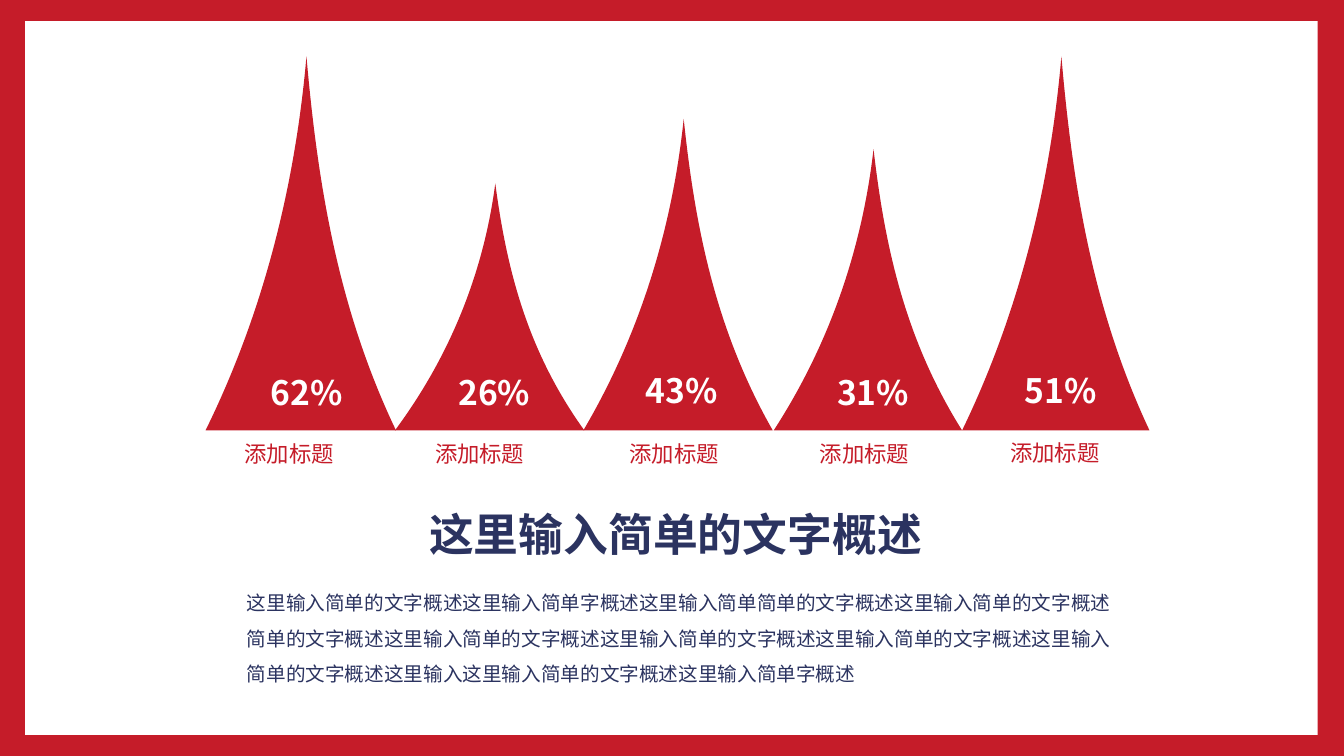
from dataclasses import dataclass

from lxml import etree
from pptx import Presentation
from pptx import util as u
from pptx.dml.color import RGBColor
from pptx.enum import shapes, text
from pptx.oxml.ns import qn

PX = 9144  # 100 px to the inch


@dataclass(frozen=True)
class Theme:
    red: str = "C51C29"
    navy: str = "2B3360"
    white: str = "FFFFFF"
    font: str = "Noto Sans CJK SC"
    heading_size: int = 32
    percent_size: int = 24
    label_size: int = 16
    body_size: int = 14


@dataclass(frozen=True)
class Spike:
    left: int
    width: int
    height: int
    percent: str
    percent_at: tuple
    label_at: tuple


SPIKES = [
    Spike(204, 189, 371, "62%", (259, 364), (233, 432)),
    Spike(392, 188, 245, "26%", (445, 364), (422, 432)),
    Spike(579, 188, 309, "43%", (631, 362), (615, 432)),
    Spike(768, 187, 279, "31%", (821, 364), (804, 432)),
    Spike(955, 186, 371, "51%", (1007, 362), (993, 431)),
]
BASELINE = 427
# Bezier sides after the left foot, as fractions of a spike's width and height
SIDES = [
    [(0.3, 0.31), (0.47, 0.65), (0.53, 1)],
    [(0.59, 0.65), (0.7, 0.32), (1, 0)],
]

LABEL = "添加标题"
HEADING = "这里输入简单的文字概述"
BODY = (
    "这里输入简单的文字概述这里输入简单字概述这里输入简单简单的文字概述这里输入简单的文字概述"
    "简单的文字概述这里输入简单的文字概述这里输入简单的文字概述这里输入简单的文字概述这里输入"
    "简单的文字概述这里输入这里输入简单的文字概述这里输入简单字概述"
)


def write(shape, words, *, size, color, font, bold=False, spacing=1.0):
    frame = shape.text_frame
    frame.word_wrap = True
    frame.auto_size = text.MSO_AUTO_SIZE.SHAPE_TO_FIT_TEXT
    frame.vertical_anchor = text.MSO_ANCHOR.TOP
    paragraph = frame.paragraphs[0]
    paragraph.alignment = text.PP_ALIGN.LEFT
    paragraph.line_spacing = spacing
    paragraph.space_before = u.Pt(0)
    run = paragraph.add_run()
    run.text = words
    run.font.size = u.Pt(size)
    run.font.bold = bold
    run.font.color.rgb = RGBColor.from_string(color)
    run.font.name = font
    east_asian = etree.SubElement(run.font._element, qn("a:ea"))
    east_asian.set("typeface", font)


class SlideBuilder:
    def __init__(self, slide, theme):
        self.slide = slide
        self.theme = theme

    def paint(self, shape, color):
        shape.shadow.inherit = False
        shape.fill.solid()
        shape.fill.fore_color.rgb = RGBColor.from_string(color)
        shape.line.fill.background()

    def panel(self, box, color):
        panel = self.slide.shapes.add_shape(
            shapes.MSO_SHAPE.RECTANGLE, *(v * PX for v in box))
        self.paint(panel, color)

    def spike(self, spike):
        """Draw a triangle, then bend its two straight sides into curves."""
        width, height = spike.width * PX, spike.height * PX
        left, base = spike.left * PX, BASELINE * PX
        corners = [(left + x * width, base - y * height) for x, y in (s[-1] for s in SIDES)]
        outline = self.slide.shapes.build_freeform(left, base)
        outline.add_line_segments(corners, close=True)
        shape = outline.convert_to_shape()
        lines = list(shape._element.iter(qn("a:lnTo")))
        for line, side in zip(lines, SIDES):
            curve = etree.Element(qn("a:cubicBezTo"))
            for x, y in side:
                point = etree.SubElement(curve, qn("a:pt"))
                point.set("x", str(round(x * width)))
                point.set("y", str(round((1 - y) * height)))
            line.getparent().replace(line, curve)
        self.paint(shape, self.theme.red)

    def caption(self, words, box, **style):
        caption = self.slide.shapes.add_textbox(*(v * PX for v in box))
        write(caption, words, font=self.theme.font, **style)

    def placeholder(self, holder, words, box, **style):
        """Fill a template placeholder, without bullet, in front of the panels."""
        holder.left, holder.top, holder.width, holder.height = (v * PX for v in box)
        self.slide.shapes._spTree.append(holder._element)
        properties = holder.text_frame.paragraphs[0]._p.get_or_add_pPr()
        properties.set("marL", "0")
        properties.set("indent", "0")
        etree.SubElement(properties, qn("a:buNone"))
        write(holder, words, font=self.theme.font, **style)


def main():
    theme = Theme()
    deck = Presentation()
    deck.slide_width, deck.slide_height = 1334 * PX, 750 * PX
    slide = deck.slides.add_slide(deck.slide_layouts[1])
    builder = SlideBuilder(slide, theme)

    builder.panel((0, 0, 1334, 750), theme.red)
    builder.panel((25, 21, 1283, 708), theme.white)
    for spike in SPIKES:
        builder.spike(spike)
    for spike in SPIKES:
        builder.caption(spike.percent, (*spike.percent_at, 118, 50),
                        size=theme.percent_size, color=theme.white, bold=True)
        builder.caption(LABEL, (*spike.label_at, 126, 37),
                        size=theme.label_size, color=theme.red)

    builder.placeholder(slide.placeholders[1], BODY, (235, 570, 880, 115),
                        size=theme.body_size, color=theme.navy, spacing=1.5)
    builder.placeholder(slide.shapes.title, HEADING, (416, 498, 530, 64),
                        size=theme.heading_size, color=theme.navy, bold=True)
    deck.save("out.pptx")


if __name__ == "__main__":
    main()
